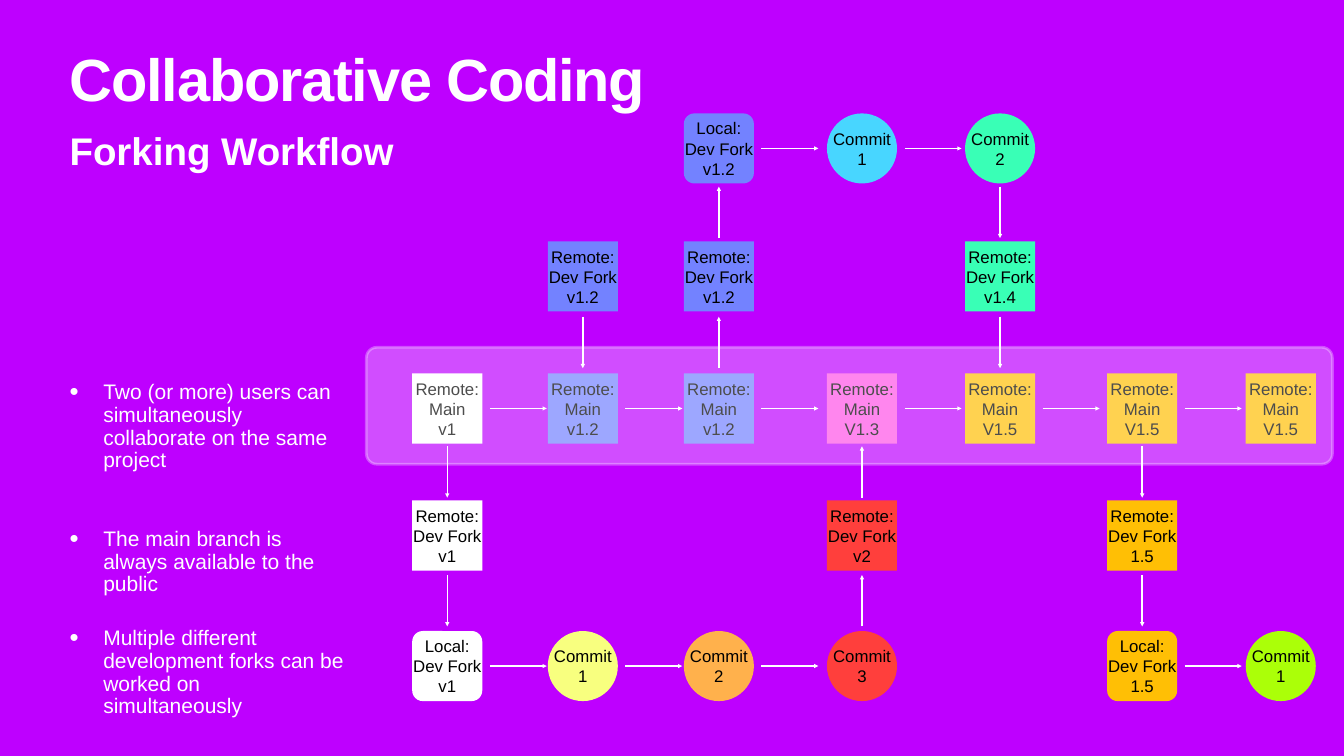
import pptx
import pptx.dml.color
import pptx.enum.dml
import pptx.enum.shapes
import pptx.enum.text
import pptx.oxml.ns
import pptx.util
from lxml import etree

SHAPES = pptx.enum.shapes.MSO_SHAPE
ALIGN = pptx.enum.text.PP_ALIGN
ANCHOR = pptx.enum.text.MSO_ANCHOR
Inches, Pt = pptx.util.Inches, pptx.util.Pt

TITLE = "Collaborative Coding"
SUBTITLE = "Forking Workflow"
# text, space before in points
POINTS = [
    ("Two (or more) users can simultaneously collaborate on the same project", 0),
    ("The main branch is always available to the public", 80),
    ("Multiple different development forks can be worked on simultaneously", 45),
]

COLUMNS = [8.18, 10.87, 13.57, 16.41, 19.15, 21.97, 24.72]
ROWS = [2.25, 4.79, 7.41, 9.93, 12.52]
NODE = 1.39
ACROSS_OFFSET, ACROSS_LENGTH, DOWN_LENGTH = 1.54, 1.13, 1.02

WHITE, BLACK, PURPLE = "FFFFFF", "000000", "BE00FF"
BLUE, GREEN, RED, AMBER = "7382FF", "39FFB6", "FF3F3C", "FFBF05"
KINDS = {
    "main": (SHAPES.RECTANGLE, ["Remote:", "Main"]),
    "remote": (SHAPES.RECTANGLE, ["Remote:", "Dev Fork"]),
    "local": (SHAPES.ROUNDED_RECTANGLE, ["Local:", "Dev Fork"]),
    "commit": (SHAPES.OVAL, ["Commit"]),
}
# kind, version, column, row, colour
STEPS = [
    ("local", "v1.2", 2, 0, BLUE),
    ("commit", "1", 3, 0, "48D6FF"),
    ("commit", "2", 4, 0, GREEN),
    ("remote", "v1.2", 1, 1, BLUE),
    ("remote", "v1.2", 2, 1, BLUE),
    ("remote", "v1.4", 4, 1, GREEN),
    ("main", "v1", 0, 2, WHITE),
    ("main", "v1.2", 1, 2, BLUE),
    ("main", "v1.2", 2, 2, BLUE),
    ("main", "V1.3", 3, 2, "FF53E7"),
    ("main", "V1.5", 4, 2, AMBER),
    ("main", "V1.5", 5, 2, AMBER),
    ("main", "V1.5", 6, 2, AMBER),
    ("remote", "v1", 0, 3, WHITE),
    ("remote", "v2", 3, 3, RED),
    ("remote", "1.5", 5, 3, AMBER),
    ("local", "v1", 0, 4, WHITE),
    ("commit", "1", 1, 4, "F8FF7F"),
    ("commit", "2", 2, 4, "FFB14C"),
    ("commit", "3", 3, 4, RED),
    ("local", "1.5", 5, 4, AMBER),
    ("commit", "1", 6, 4, "ABFF08"),
]
# row: columns whose step leads to the next one on the right
ACROSS = {0: [2, 3], 2: range(6), 4: [0, 1, 2, 5]}
# column: (from row, to row)
VERTICAL = {
    0: [(2, 3), (3, 4)],
    1: [(1, 2)],
    2: [(2, 1), (1, 0)],
    3: [(4, 3), (3, 2)],
    4: [(0, 1), (1, 2)],
    5: [(2, 3), (3, 4)],
}


def rgb(colour):
    return pptx.dml.color.RGBColor.from_string(colour)


def child(parent, tag, **attributes):
    return etree.SubElement(parent, pptx.oxml.ns.qn(tag), attributes)


def write(paragraph, text, size, colour, bold=False):
    run = paragraph.add_run()
    run.text = text
    run.font.name, run.font.size, run.font.bold = "Arial", Pt(size), bold
    run.font.color.rgb = rgb(colour)
    return run


def set_frame(frame, inset, anchor, wrap=True):
    frame.margin_left = frame.margin_right = Inches(inset)
    frame.margin_top = frame.margin_bottom = Inches(inset)
    frame.vertical_anchor = anchor
    frame.word_wrap = wrap
    frame.auto_size = pptx.enum.text.MSO_AUTO_SIZE.NONE


def place(holder, left, top, width, height):
    """Move a placeholder and return its text frame, anchored at the top."""
    holder.left, holder.top = Inches(left), Inches(top)
    holder.width, holder.height = Inches(width), Inches(height)
    set_frame(holder.text_frame, 0.06, ANCHOR.TOP)
    return holder.text_frame


def add_block(slide, preset, left, top, width, height, colour):
    block = slide.shapes.add_shape(
        preset, Inches(left), Inches(top), Inches(width), Inches(height))
    block.shadow.inherit = False
    block.fill.solid()
    block.fill.fore_color.rgb = rgb(colour)
    block.line.fill.background()
    return block


def add_step(slide, kind, version, column, row, colour):
    preset, label = KINDS[kind]
    step = add_block(slide, preset, COLUMNS[column], ROWS[row], NODE, NODE, colour)
    if kind == "local":
        step.adjustments[0] = 0.15
    frame = step.text_frame
    set_frame(frame, 0, ANCHOR.MIDDLE, wrap=False)
    for number, text in enumerate(label + [version]):
        paragraph = frame.add_paragraph() if number else frame.paragraphs[0]
        paragraph.alignment = ALIGN.CENTER
        write(paragraph, text, 24, BLACK)


def add_arrow(slide, *ends):
    arrow = slide.shapes.add_connector(
        pptx.enum.shapes.MSO_CONNECTOR.STRAIGHT, *map(Inches, ends))
    arrow.line.color.rgb = rgb(WHITE)
    arrow.line.width = Pt(2)
    child(arrow.line._get_or_add_ln(), "a:tailEnd", type="triangle")
    child(arrow._element.spPr, "a:effectLst")


def add_arrows(slide):
    for row, columns in ACROSS.items():
        y = ROWS[row] + NODE / 2
        for column in columns:
            x = COLUMNS[column] + ACROSS_OFFSET
            add_arrow(slide, x, y, x + ACROSS_LENGTH, y)
    for column, moves in VERTICAL.items():
        x = COLUMNS[column] + NODE / 2
        for start, end in moves:
            middle = (ROWS[start] + ROWS[end] + NODE) / 2
            reach = (end - start) * DOWN_LENGTH / 2
            add_arrow(slide, x, middle - reach, x, middle + reach)


def add_main_band(slide):
    band = add_block(slide, SHAPES.ROUNDED_RECTANGLE, 7.27, 6.89, 19.17, 2.32, WHITE)
    band.adjustments[0] = 0.09
    band.line.color.rgb = rgb(WHITE)
    band.line.width = Pt(4)
    for colour in band._element.spPr.iter(pptx.oxml.ns.qn("a:srgbClr")):
        child(colour, "a:alpha", val="30000")


def add_points(frame):
    for number, (text, space) in enumerate(POINTS):
        paragraph = frame.add_paragraph() if number else frame.paragraphs[0]
        properties = paragraph._p.get_or_add_pPr()
        properties.set("marL", str(Inches(0.67)))
        properties.set("indent", str(-Inches(0.67)))
        child(properties, "a:buSzPct", val="123000")
        child(properties, "a:buFont", typeface="Arial")
        child(properties, "a:buChar", char="•")
        paragraph.line_spacing = 0.9
        paragraph.space_before = Pt(space)
        write(paragraph, text, 30, WHITE)


def main():
    deck = pptx.Presentation()
    deck.slide_width, deck.slide_height = Inches(26.67), Inches(15)
    slide = deck.slides.add_slide(deck.slide_layouts.get_by_name("Two Content"))
    slide.background.fill.solid()
    slide.background.fill.fore_color.rgb = rgb(PURPLE)
    title, subtitle, points = list(slide.placeholders)[:3]

    heading = place(title, 1.32, 1.04, 24.03, 1.57).paragraphs[0]
    heading.alignment = ALIGN.LEFT
    heading.line_spacing = 0.8
    run = write(heading, TITLE, 85, WHITE, bold=True)
    run.font._element.set("spc", "-170")

    subheading = place(subtitle, 1.32, 2.46, 24.03, 1.02).paragraphs[0]
    properties = subheading._p.get_or_add_pPr()
    properties.set("marL", "0")
    properties.set("indent", "0")
    child(properties, "a:buNone")
    subheading.space_before = Pt(0)
    write(subheading, SUBTITLE, 55, WHITE, bold=True)

    for step in STEPS:
        add_step(slide, *step)
    add_arrows(slide)
    add_main_band(slide)
    add_points(place(points, 1.32, 7.51, 5.58, 9.03))
    deck.save("out.pptx")


if __name__ == "__main__":
    main()
